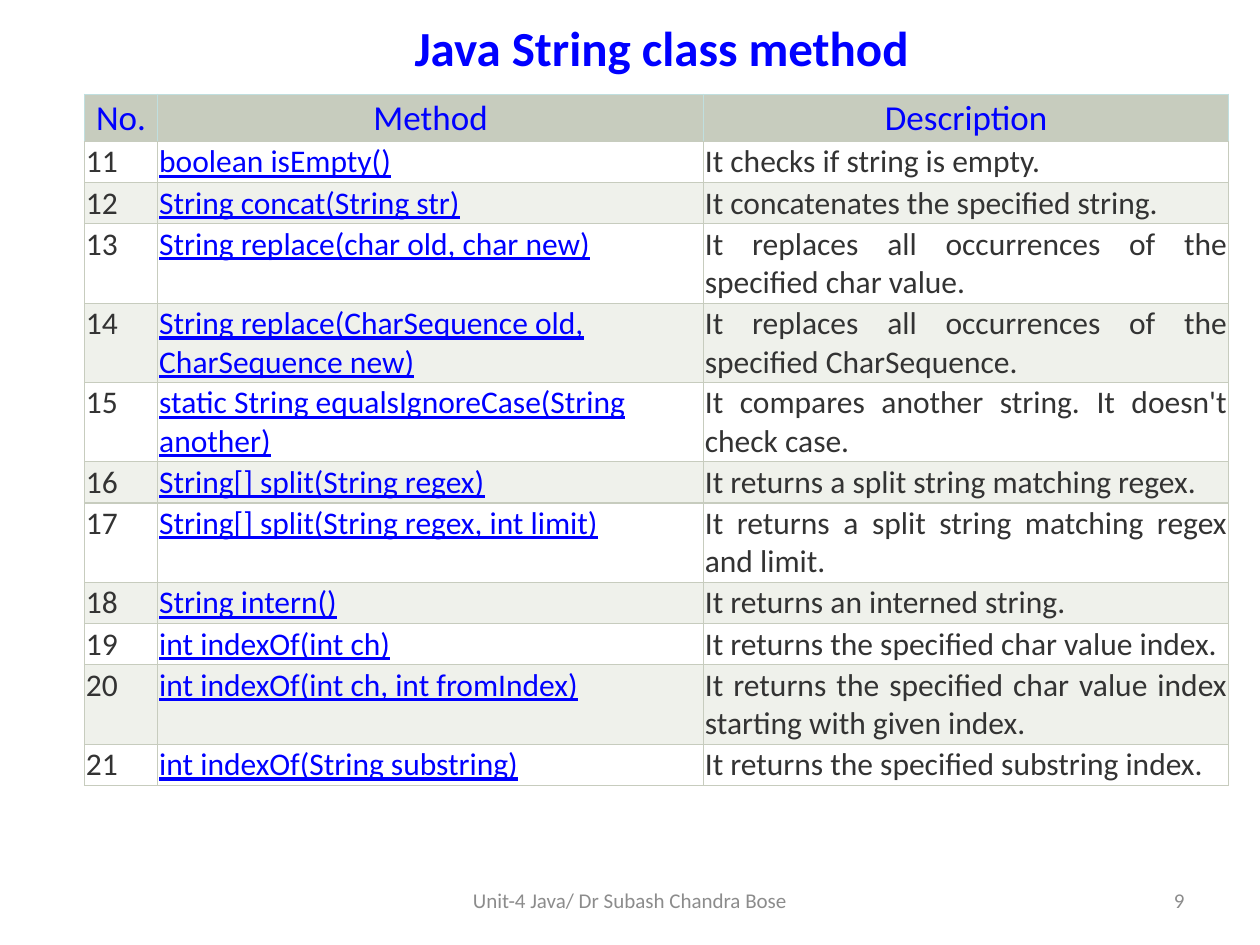
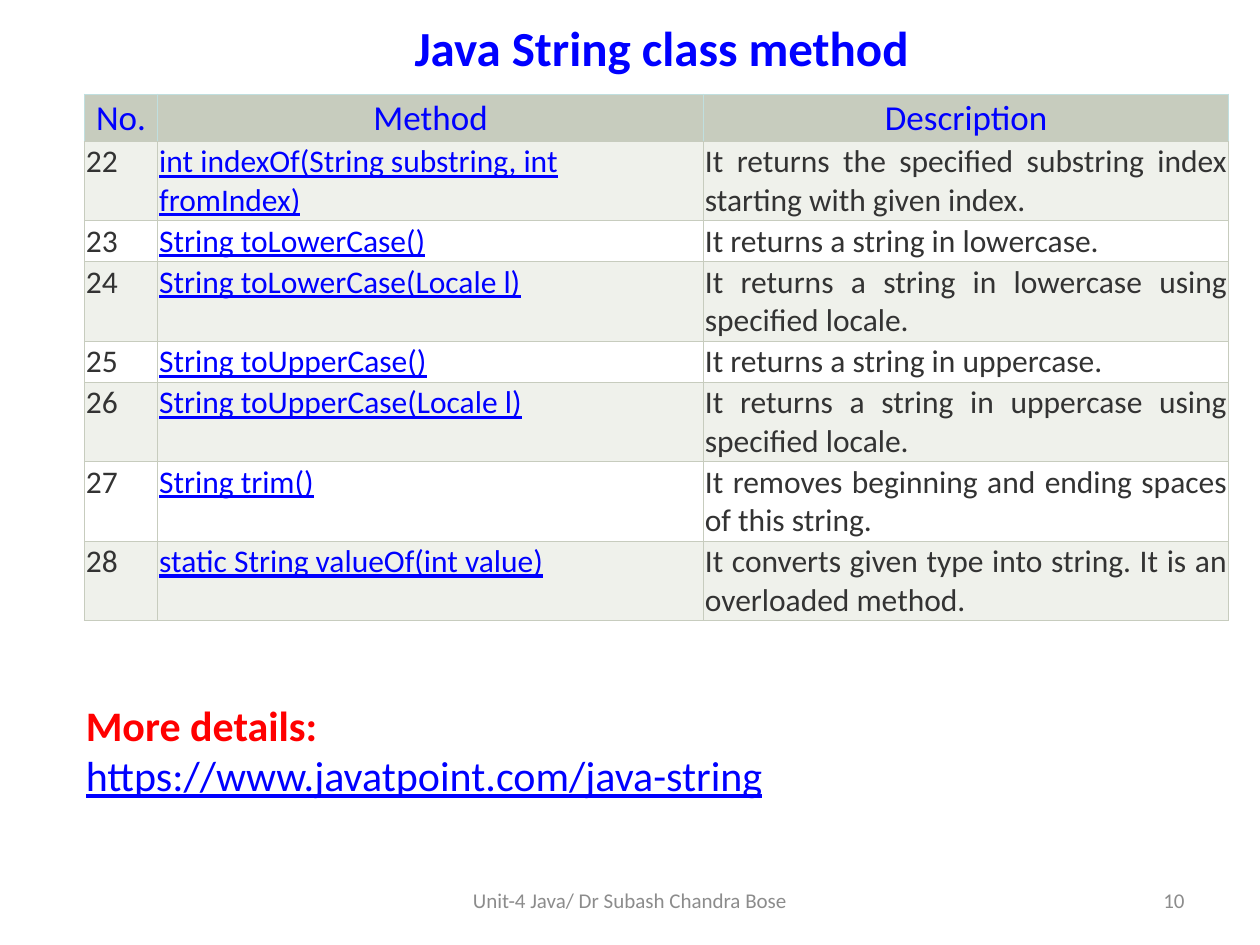
from dataclasses import dataclass

from lxml import etree
from pptx import Presentation
from pptx import util as u
from pptx.dml.color import RGBColor
from pptx.enum import text
from pptx.oxml import ns

Cm, Pt = u.Cm, u.Pt
ALIGN = text.PP_ALIGN
ANCHOR = text.MSO_ANCHOR


@dataclass(frozen=True)
class Theme:
    font: str = "Calibri"
    accent: str = "0000FF"
    alert: str = "FF0000"
    body: str = "333333"
    muted: str = "8C8C8C"
    grid: str = "C7CCBE"
    header_edge: str = "C0DFDF"
    band: str = "EFF1EB"
    paper: str = "FFFFFF"
    title_size: int = 28
    note_size: int = 24
    header_size: int = 20
    body_size: int = 18
    footer_size: int = 12
    edge_width: float = 0.75


TITLE = "Java String class method"
FOOTER = "Unit-4 Java/ Dr Subash Chandra Bose"
HEADERS = ("No.", "Method", "Description")
COL_WIDTHS = (1.48, 11.0, 10.59)
HEADER_HEIGHT, ONE_LINE, TWO_LINES = 0.95, 0.83, 1.6
MAX_LINE_CHARS = 42

METHODS_11_TO_21 = (
    ("boolean isEmpty()", "It checks if string is empty."),
    ("String concat(String str)", "It concatenates the specified string."),
    ("String replace(char old, char new)",
     "It replaces all occurrences of the specified char value."),
    ("String replace(CharSequence old, CharSequence new)",
     "It replaces all occurrences of the specified CharSequence."),
    ("static String equalsIgnoreCase(String another)",
     "It compares another string. It doesn't check case."),
    ("String[] split(String regex)", "It returns a split string matching regex."),
    ("String[] split(String regex, int limit)",
     "It returns a split string matching regex and limit."),
    ("String intern()", "It returns an interned string."),
    ("int indexOf(int ch)", "It returns the specified char value index."),
    ("int indexOf(int ch, int fromIndex)",
     "It returns the specified char value index starting with given index."),
    ("int indexOf(String substring)", "It returns the specified substring index."),
)
METHODS_22_TO_28 = (
    ("int indexOf(String substring, int fromIndex)",
     "It returns the specified substring index starting with given index."),
    ("String toLowerCase()", "It returns a string in lowercase."),
    ("String toLowerCase(Locale l)",
     "It returns a string in lowercase using specified locale."),
    ("String toUpperCase()", "It returns a string in uppercase."),
    ("String toUpperCase(Locale l)",
     "It returns a string in uppercase using specified locale."),
    ("String trim()", "It removes beginning and ending spaces of this string."),
    ("static String valueOf(int value)",
     "It converts given type into string. It is an overloaded method."),
)


class Deck:
    def __init__(self, theme):
        self.theme = theme
        self.prs = Presentation()
        self.prs.slide_width, self.prs.slide_height = Cm(25.4), Cm(19.05)
        self.s = None

    def new_slide(self, number):
        """Start a slide with the shared title, page number and footer."""
        t = self.theme
        self.s = self.prs.slides.add_slide(self.prs.slide_layouts[5])
        self.title()
        for label, left, width, align in (
            (str(number), 18.2, 5.93, ALIGN.RIGHT),
            (FOOTER, 8.68, 8.04, ALIGN.CENTER),
        ):
            tf = self.text_box(left, 17.65, width, 1.01, [label])
            tf.vertical_anchor = ANCHOR.MIDDLE
            self.style(tf.paragraphs[0], t.footer_size, t.muted, align)

    def title(self):
        sp = self.s.shapes.title
        sp.left, sp.top, sp.width, sp.height = Cm(3.81), Cm(0.42), Cm(19.05), Cm(1.06)
        tf = sp.text_frame
        tf.text = TITLE
        tf.auto_size = text.MSO_AUTO_SIZE.NONE
        tf.vertical_anchor = ANCHOR.MIDDLE
        self.style(tf.paragraphs[0], self.theme.title_size, self.theme.accent,
                   ALIGN.CENTER, bold=True)

    def text_box(self, left, top, width, height, lines):
        sp = self.s.shapes.add_textbox(Cm(left), Cm(top), Cm(width), Cm(height))
        tf = sp.text_frame
        tf.word_wrap = True
        tf.text = "\n".join(lines)
        return tf

    def style(self, p, size, color, align=ALIGN.LEFT, bold=False, underline=False):
        p.alignment = align
        for r in p.runs:
            f = r.font
            f.name, f.size, f.bold, f.underline = self.theme.font, Pt(size), bold, underline
            f.color.rgb = RGBColor.from_string(color)

    def borders(self, cell, **colors):
        """Draw the cell's edges, keyed L, R, T and B; they must precede its fill."""
        tc_pr = cell._tc.get_or_add_tcPr()
        for side in "LRTB":
            ln = etree.SubElement(tc_pr, ns.qn(f"a:ln{side}"),
                                  w=str(Pt(self.theme.edge_width)))
            fill = etree.SubElement(ln, ns.qn("a:solidFill"))
            etree.SubElement(fill, ns.qn("a:srgbClr"),
                             val=colors.get(side, self.theme.grid))

    def cell(self, cell, label, fill, margin, edges, **font):
        self.borders(cell, **edges)
        cell.fill.solid()
        cell.fill.fore_color.rgb = RGBColor.from_string(fill)
        cell.margin_left = cell.margin_right = Cm(margin)
        cell.margin_top = cell.margin_bottom = Cm(margin)
        cell.text = label
        self.style(cell.text_frame.paragraphs[0], **font)

    def method_table(self, first_number, methods):
        t = self.theme
        heights = [HEADER_HEIGHT] + [
            TWO_LINES if max(map(len, row)) > MAX_LINE_CHARS else ONE_LINE
            for row in methods]
        table = self.s.shapes.add_table(
            len(heights), len(HEADERS), Cm(1.7), Cm(1.9),
            Cm(sum(COL_WIDTHS)), Cm(sum(heights))).table
        table.first_row = table.horz_banding = False
        for col, width in zip(table.columns, COL_WIDTHS):
            col.width = Cm(width)
        for row, height in zip(table.rows, heights):
            row.height = Cm(height)

        header_edges = dict.fromkeys("LRT", t.header_edge)
        for c, label in enumerate(HEADERS):
            self.cell(table.cell(0, c), label, t.grid, 0.05, header_edges,
                      size=t.header_size, color=t.accent, align=ALIGN.CENTER)

        plain = dict(size=t.body_size, color=t.body, align=ALIGN.JUSTIFY)
        link = dict(size=t.body_size, color=t.accent, underline=True)
        for i, (method, description) in enumerate(methods):
            number = first_number + i
            fill = t.paper if number % 2 else t.band
            for c, (label, font) in enumerate(
                    ((str(number), plain), (method, link), (description, plain))):
                self.cell(table.cell(i + 1, c), label, fill, 0.03, {}, **font)

    def more_details(self):
        t = self.theme
        tf = self.text_box(1.48, 13.97, 16.51, 3.33,
                           ["More details:", "https://www.javatpoint.com/java-string"])
        heading, address = tf.paragraphs
        self.style(heading, t.note_size, t.alert, bold=True)
        self.style(address, t.note_size, t.accent, underline=True)


def main():
    deck = Deck(Theme())
    deck.new_slide(9)
    deck.method_table(11, METHODS_11_TO_21)
    deck.new_slide(10)
    deck.method_table(22, METHODS_22_TO_28)
    deck.more_details()
    deck.prs.save("out.pptx")


if __name__ == "__main__":
    main()
